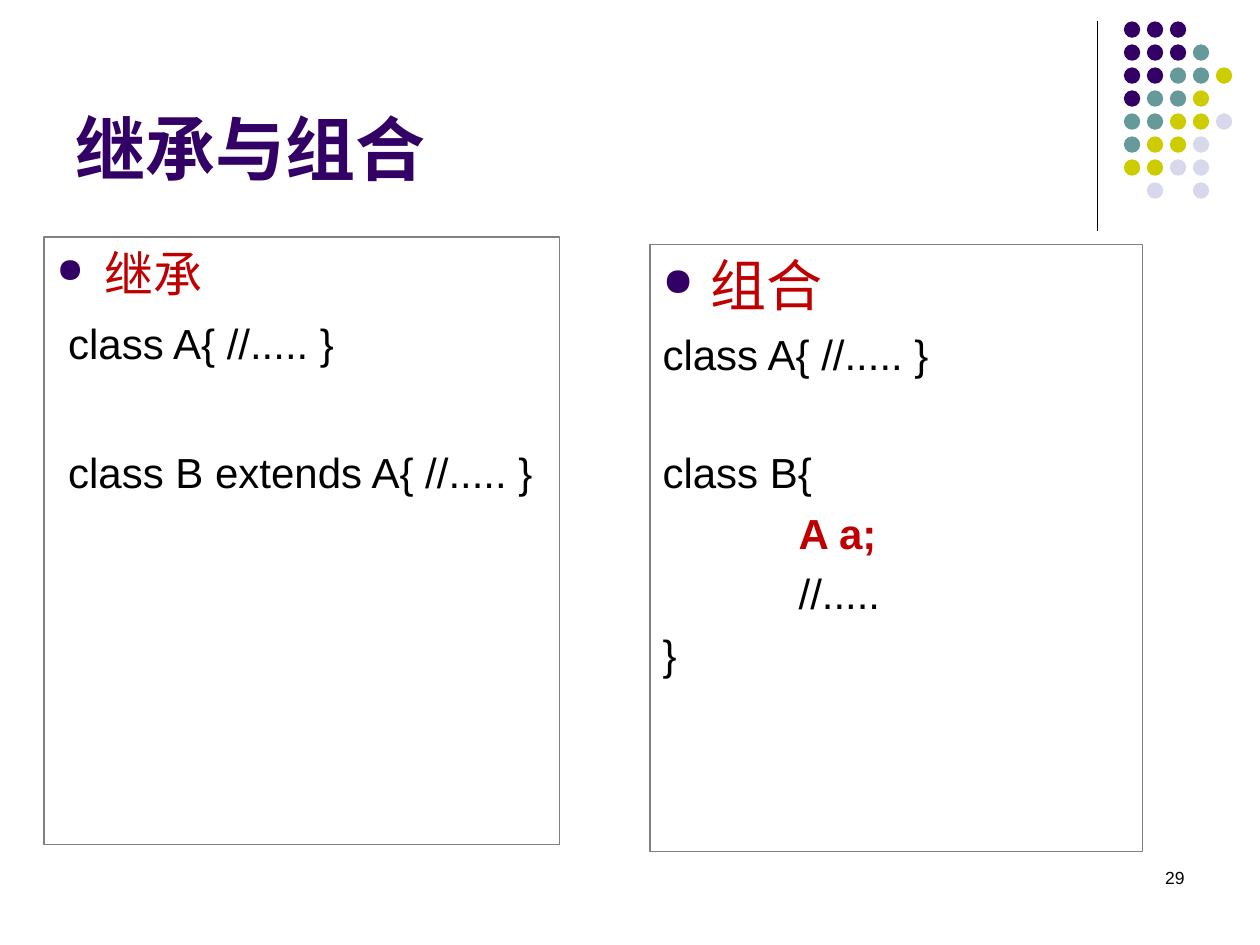
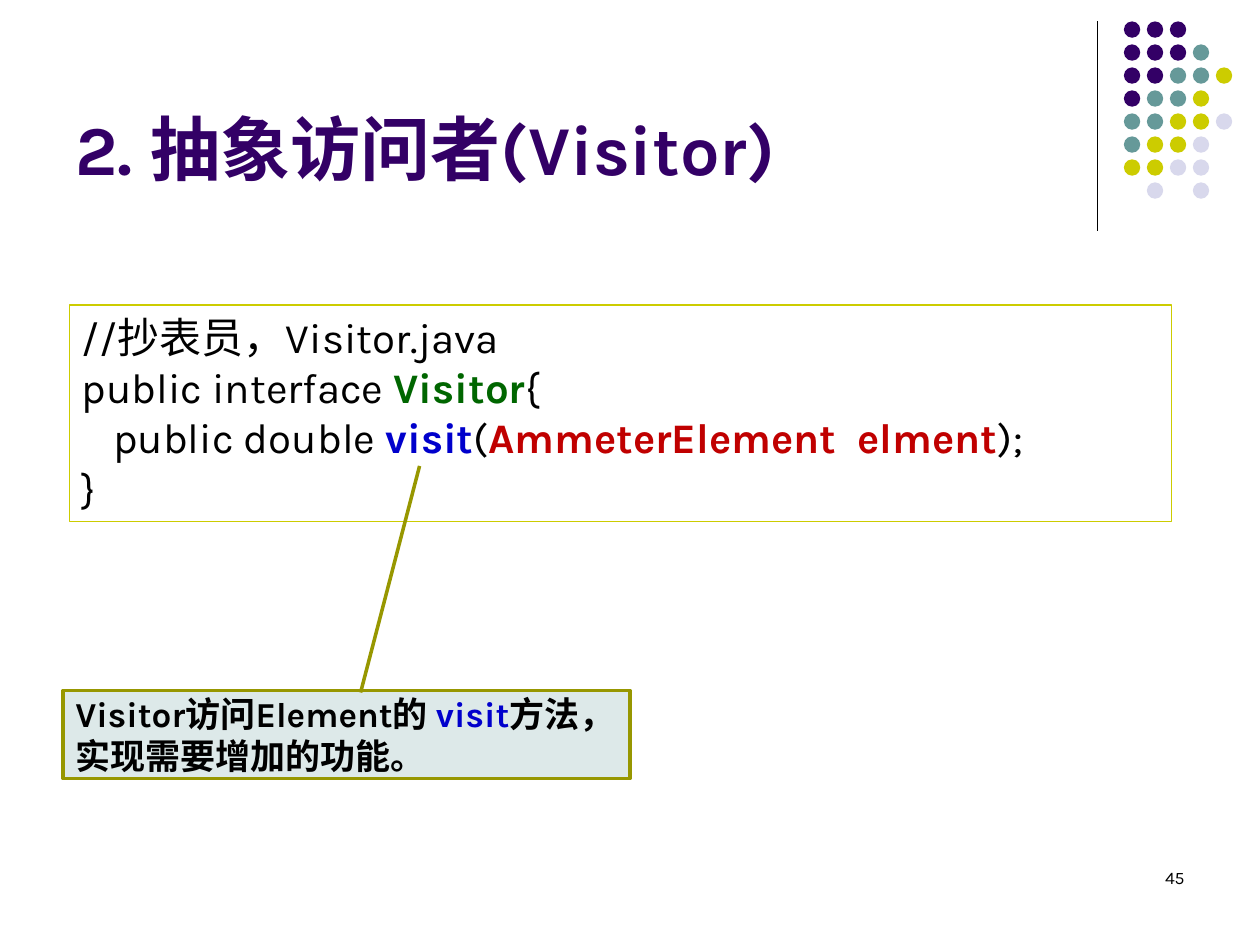
import pptx
import pptx.dml.color
import pptx.enum.shapes
import pptx.enum.text
import pptx.util
from lxml import etree
from pptx.oxml import ns

Inches = pptx.util.Inches
Pt = pptx.util.Pt
RGBColor = pptx.dml.color.RGBColor
Shape = pptx.enum.shapes.MSO_SHAPE
Anchor = pptx.enum.text.MSO_ANCHOR
Align = pptx.enum.text.PP_ALIGN

PURPLE = RGBColor(0x33, 0x00, 0x66)
TEAL = RGBColor(0x66, 0x99, 0x99)
YELLOW = RGBColor(0xCC, 0xCC, 0x00)
LAVENDER = RGBColor(0xD8, 0xD8, 0xEC)
BLACK = RGBColor(0x00, 0x00, 0x00)
GRAY = RGBColor(0x80, 0x80, 0x80)
RED = RGBColor(0xC0, 0x00, 0x00)
GREEN = RGBColor(0x00, 0x66, 0x00)
BLUE = RGBColor(0x00, 0x00, 0xCC)
OLIVE = RGBColor(0x97, 0x97, 0x00)
MIST = RGBColor(0xDD, 0xE9, 0xE9)

DOT_COLORS = {"P": PURPLE, "T": TEAL, "Y": YELLOW, "L": LAVENDER}
DOT_ROWS = ["PPP", "PPPT", "PPTTY", "PTTY", "TTYYL", "TYYL", "YYLL", " L L"]
DOT_PITCH = 0.73 / 4
HANGING = 0.38


class Deck:
    def __init__(self):
        self.prs = pptx.Presentation()
        self.prs.slide_width = Inches(10)
        self.prs.slide_height = Inches(7.5)

    def new_slide(self, font, title, number):
        self.font = font
        self.slide = self.prs.slides.add_slide(self.prs.slide_layouts[6])
        self.corner()
        heading = self.text_box(0.5, 0.13, 8.25, 1.42)
        heading.vertical_anchor = Anchor.BOTTOM
        self.paragraph(heading, title, 40, PURPLE, bold=True)
        footer = self.text_box(7.17, 6.83, 2.33, 0.5)
        self.paragraph(footer, number, 10).alignment = Align.RIGHT

    def corner(self):
        rule = self.slide.shapes.add_connector(
            pptx.enum.shapes.MSO_CONNECTOR.STRAIGHT,
            Inches(8.71), Inches(0.17), Inches(8.71), Inches(1.83))
        rule.line.color.rgb = BLACK
        rule.line.width = Pt(0.75)
        etree.SubElement(rule._element.spPr, ns.qn("a:effectLst"))
        dots = self.slide.shapes.add_group_shape().shapes
        for row, codes in enumerate(DOT_ROWS):
            for column, code in enumerate(codes):
                if code in DOT_COLORS:
                    dot = dots.add_shape(
                        Shape.OVAL, Inches(8.92 + column * DOT_PITCH),
                        Inches(0.17 + row * DOT_PITCH), Inches(0.13), Inches(0.13))
                    dot.shadow.inherit = False
                    dot.fill.solid()
                    dot.fill.fore_color.rgb = DOT_COLORS[code]
                    dot.line.fill.background()

    def text_box(self, left, top, width, height):
        frame = self.slide.shapes.add_textbox(
            Inches(left), Inches(top), Inches(width), Inches(height)).text_frame
        frame.word_wrap = True
        return frame

    def panel(self, left, top, width, height, line, line_width=0.75,
              fill=None, kind=Shape.RECTANGLE, anchor=Anchor.TOP):
        panel = self.slide.shapes.add_shape(
            kind, Inches(left), Inches(top), Inches(width), Inches(height))
        panel.shadow.inherit = False
        if fill is None:
            panel.fill.background()
        else:
            panel.fill.solid()
            panel.fill.fore_color.rgb = fill
        panel.line.color.rgb = line
        panel.line.width = Pt(line_width)
        panel.text_frame.word_wrap = True
        panel.text_frame.vertical_anchor = anchor
        return panel

    def paragraph(self, frame, content, size, color=BLACK, bold=False,
                  before=0, left=0, indent=0):
        first = frame.paragraphs[0]
        paragraph = frame.add_paragraph() if first.runs else first
        paragraph.alignment = Align.LEFT
        paragraph.space_before = Pt(before)
        properties = paragraph._p.get_or_add_pPr()
        properties.set("marL", str(Inches(left)))
        properties.set("indent", str(Inches(indent)))
        paragraph.font.name = self.font
        paragraph.font.size = Pt(size)
        paragraph.font.bold = bold
        spans = [(content, color)] if isinstance(content, str) else content
        if len({span_color for _, span_color in spans}) == 1:
            paragraph.font.color.rgb = spans[0][1]
        for text, span_color in spans:
            run = paragraph.add_run()
            run.text = text
            if len(spans) > 1:
                run.font.color.rgb = span_color
                run.font.bold = bold or span_color != BLACK
        return paragraph

    def bullet(self, frame, text, size):
        paragraph = self.paragraph(frame, text, size, RED, before=size * 0.24,
                                   left=HANGING, indent=-HANGING)
        properties = paragraph._p.get_or_add_pPr()
        color = etree.Element(ns.qn("a:buClr"))
        etree.SubElement(color, ns.qn("a:srgbClr"), val=str(PURPLE))
        scale = etree.Element(ns.qn("a:buSzPct"), val="70000")
        mark = etree.Element(ns.qn("a:buChar"), char="●")
        defaults = properties.find(ns.qn("a:defRPr"))
        for element in (color, scale, mark):
            defaults.addprevious(element)

    def code(self, frame, text, before=5.8):
        self.paragraph(frame, text, 24, before=before, left=HANGING, indent=-HANGING)


def inheritance_and_composition(deck):
    deck.new_slide("Arial", "继承与组合", "29")
    inheritance = deck.panel(0.35, 1.88, 4.09, 4.82, GRAY).text_frame
    deck.bullet(inheritance, "继承", 28)
    deck.code(inheritance, " class A{ //..... }", before=9)
    deck.code(inheritance, " class B extends A{ //..... }", before=45)

    composition = deck.panel(5.16, 1.94, 3.91, 4.82, GRAY).text_frame
    deck.bullet(composition, "组合", 32)
    deck.code(composition, "class A{ //..... }")
    deck.code(composition, "class B{", before=39)
    deck.paragraph(composition, "A a;", 24, RED, bold=True, before=5.8, left=1.08)
    deck.paragraph(composition, "//.....", 24, before=5.8, left=1.08)
    deck.code(composition, "}")


def abstract_visitor(deck):
    deck.new_slide("Karla", "2. 抽象访问者(Visitor)", "45")
    listing = deck.panel(0.55, 2.42, 8.75, 1.72, YELLOW).text_frame
    listing.auto_size = pptx.enum.text.MSO_AUTO_SIZE.SHAPE_TO_FIT_TEXT
    deck.paragraph(listing, "//抄表员，Visitor.java", 24)
    deck.paragraph(listing, [("public interface ", BLACK), ("Visitor", GREEN),
                             ("{", BLACK)], 24)
    deck.paragraph(listing, [("public double ", BLACK), ("visit", BLUE), ("(", BLACK),
                             ("AmmeterElement  elment", RED), (");", BLACK)],
                   24, left=0.25)
    deck.paragraph(listing, "}", 24)

    callout = deck.panel(0.5, 5.48, 4.5, 0.7, OLIVE, 2, MIST,
                         Shape.LINE_CALLOUT_1, Anchor.MIDDLE)
    for index, value in enumerate((0.024, 0.525, -2.545, 0.629)):
        callout.adjustments[index] = value
    deck.paragraph(callout.text_frame,
                   [("Visitor访问Element的 ", BLACK), ("visit", BLUE),
                    ("方法，实现需要增加的功能。", BLACK)], 20, bold=True)


def main():
    deck = Deck()
    inheritance_and_composition(deck)
    abstract_visitor(deck)
    deck.prs.save("out.pptx")


if __name__ == "__main__":
    main()
